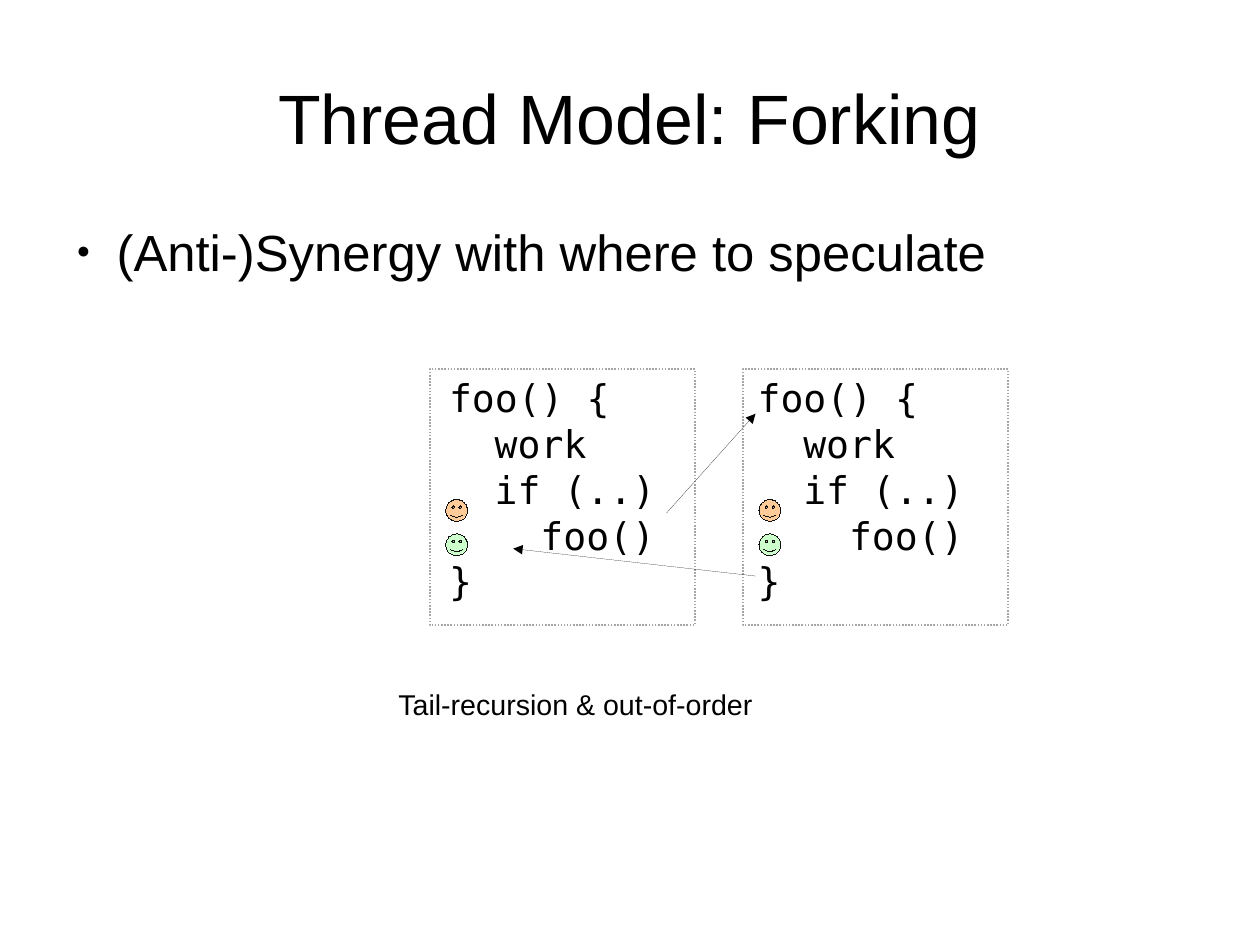
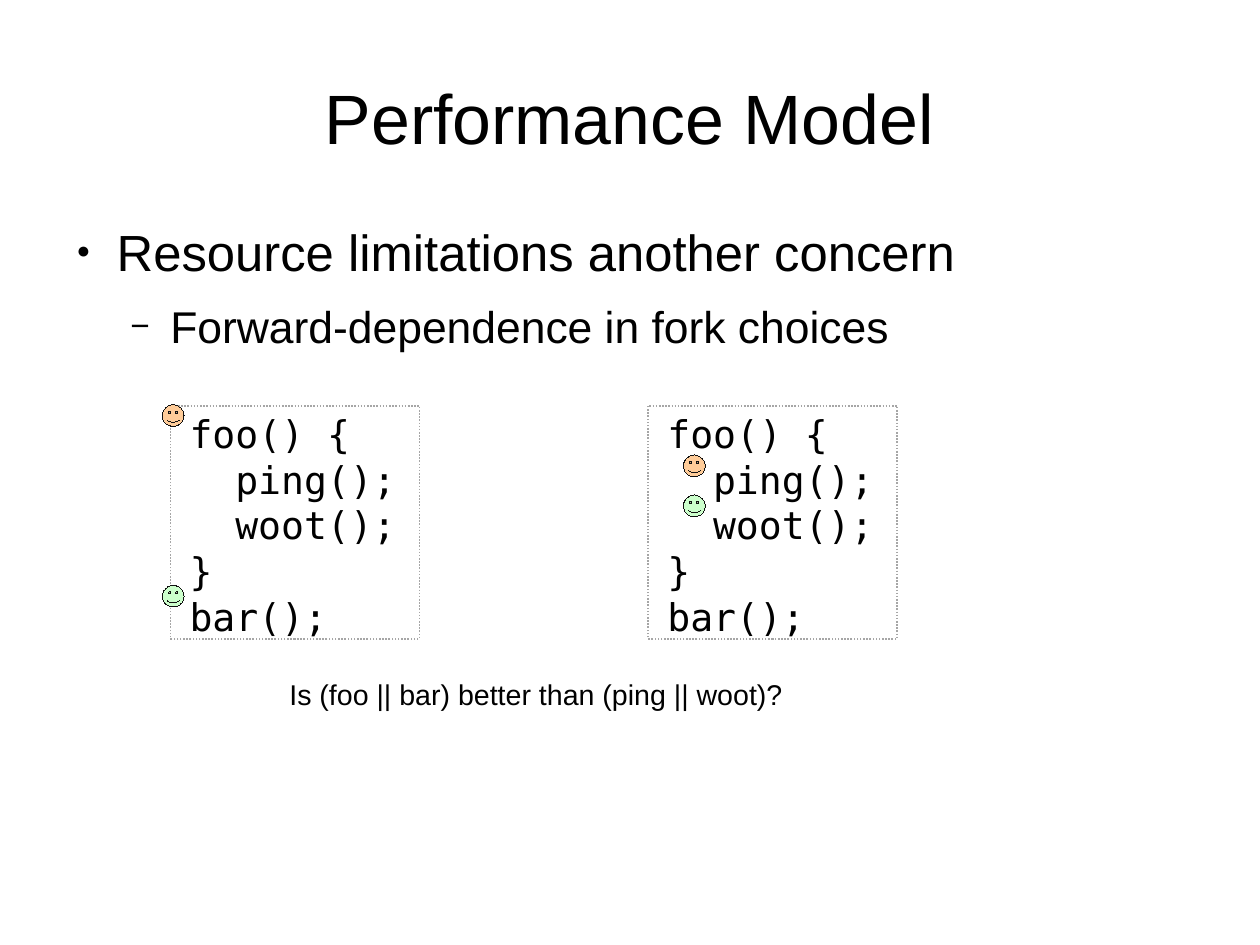
from lxml import etree
from pptx import Presentation
from pptx.dml.color import RGBColor
from pptx.enum.dml import MSO_LINE
from pptx.enum.shapes import MSO_CONNECTOR, MSO_SHAPE
from pptx.enum.text import MSO_ANCHOR, PP_ALIGN
from pptx.oxml.ns import qn
from pptx.util import Cm, Inches, Pt

RECT, FACE = MSO_SHAPE.RECTANGLE, MSO_SHAPE.SMILEY_FACE
LINE, DOT = MSO_CONNECTOR.STRAIGHT, MSO_LINE.ROUND_DOT
CENTER, LEFT = PP_ALIGN.CENTER, PP_ALIGN.LEFT
TOP, MIDDLE = MSO_ANCHOR.TOP, MSO_ANCHOR.MIDDLE

BLACK, GRAY, EDGE = "000000", "A6A6A6", "111111"
PEACH, MINT = "FFCC99", "CCFFCC"
SANS, MONO = "Arial", "DejaVu Sans Mono"
PAD = (0.1, 0.05)
STEP = 0.4  # one level of code indent
HAIR = 0.01  # thinnest line, in points

# Bullet levels: sign, sign size, text size, left margin, space before
LEVELS = [("●", 45, 32, 0.47, 14.1), ("−", 75, 28, 0.94, 11.3)]


def color(code):
    return RGBColor.from_string(code)


def write(slide, box, lines, size, font=SANS, align=LEFT, anchor=TOP, pad=PAD):
    """Add a text box and return its paragraphs."""
    frame = slide.shapes.add_textbox(*map(Inches, box)).text_frame
    frame.word_wrap = True
    frame.vertical_anchor = anchor
    frame.margin_left = frame.margin_right = Inches(pad[0])
    frame.margin_top = frame.margin_bottom = Inches(pad[1])
    frame.text = "\n".join(lines)
    for para in frame.paragraphs:
        para.alignment = align
        for run in para.runs:
            run.font.size = Pt(size)
            run.font.name = font
            run.font.color.rgb = color(BLACK)
    return frame.paragraphs


def indent(para, left, first=0):
    props = para._p.get_or_add_pPr()
    props.set("marL", str(Inches(left)))
    props.set("indent", str(Inches(first)))
    return props


def shape(slide, kind, box, line, width, fill=None):
    item = slide.shapes.add_shape(kind, *map(Inches, box))
    item.shadow.inherit = False
    if fill:
        item.fill.solid()
        item.fill.fore_color.rgb = color(fill)
    else:
        item.fill.background()
    item.line.color.rgb = color(line)
    item.line.width = Pt(width)
    return item


def arrow(slide, start, end):
    item = slide.shapes.add_connector(LINE, *map(Inches, start + end))
    item.line.color.rgb = color(BLACK)
    item.line.width = Pt(HAIR)
    tip = etree.SubElement(item.line._get_or_add_ln(), qn("a:tailEnd"))
    tip.set("type", "triangle")
    etree.SubElement(item._element.spPr, qn("a:effectLst"))


# Title and bullets
def page(deck, title, bullets):
    slide = deck.slides.add_slide(deck.slide_layouts[6])
    write(slide, (0.55, 0.33, 9.92, 1.38), [title], 44,
          align=CENTER, anchor=MIDDLE, pad=(0, 0))
    paras = write(slide, (0.55, 1.93, 9.92, 4.79), bullets, 32, pad=(0, 0))
    for para, (sign, scale, size, left, gap) in zip(paras, LEVELS):
        para.space_before = Pt(gap)
        para.runs[0].font.size = Pt(size)
        props = indent(para, left, -0.35)
        tint = etree.SubElement(props, qn("a:buClr"))
        etree.SubElement(tint, qn("a:srgbClr")).set("val", BLACK)
        etree.SubElement(props, qn("a:buSzPct")).set("val", str(scale * 1000))
        etree.SubElement(props, qn("a:buFont")).set("typeface", SANS)
        etree.SubElement(props, qn("a:buChar")).set("char", sign)
    return slide


# Dotted frame with code and two thread faces
def card(slide, box, code, faces, shift=(0.07, 0)):
    left, top, width, height = box
    paras = write(slide, (left + shift[0], top + shift[1],
                          width + 0.5, height + 0.2),
                  [text for _, text in code], 24, MONO)
    for para, (level, _) in zip(paras, code):
        indent(para, level * STEP)
    shape(slide, RECT, box, GRAY, 1).line.dash_style = DOT
    for (x, y), fill in zip(faces, (PEACH, MINT)):
        shape(slide, FACE, (left + x, top + y, 0.19, 0.19), EDGE, HAIR, fill)


def caption(slide, box, text):
    write(slide, box, [text], 18, align=CENTER)


def fork(deck):
    slide = page(deck, "Thread Model: Forking",
                 ["(Anti-)Synergy with where to speculate"])
    code = [(0, "foo() {"), (1, "work"), (1, "if (..)"),
            (2, "foo()"), (0, "}")]
    for left, shift in ((3.76, 0.07), (6.5, 0.03)):
        card(slide, (left, 3.23, 2.32, 2.24), code,
             [(0.14, 1.14), (0.14, 1.44)], (shift, 0))
    caption(slide, (2.92, 5.96, 4.23, 0.66), "Tail-recursion & out-of-order")
    arrow(slide, (5.83, 4.49), (6.61, 3.62))
    arrow(slide, (6.61, 5.04), (4.49, 4.8))


def perf(deck):
    slide = page(deck, "Performance Model",
                 ["Resource limitations another concern",
                  "Forward-dependence in fork choices"])
    code = [(0, "foo() {"), (1, "ping();"), (1, "woot();"),
            (0, "}"), (0, "bar();")]
    for left, faces in ((1.49, [(-0.07, -0.01), (-0.07, 1.57)]),
                        (5.67, [(0.31, 0.43), (0.31, 0.78)])):
        card(slide, (left, 3.55, 2.18, 2.04), code, faces, (0.07, -0.01))
    caption(slide, (1.5, 5.87, 6.38, 0.43),
            "Is (foo || bar) better than (ping || woot)?")


def main():
    deck = Presentation()
    deck.slide_width, deck.slide_height = Cm(28), Cm(21)
    fork(deck)
    perf(deck)
    deck.save("out.pptx")


if __name__ == "__main__":
    main()
